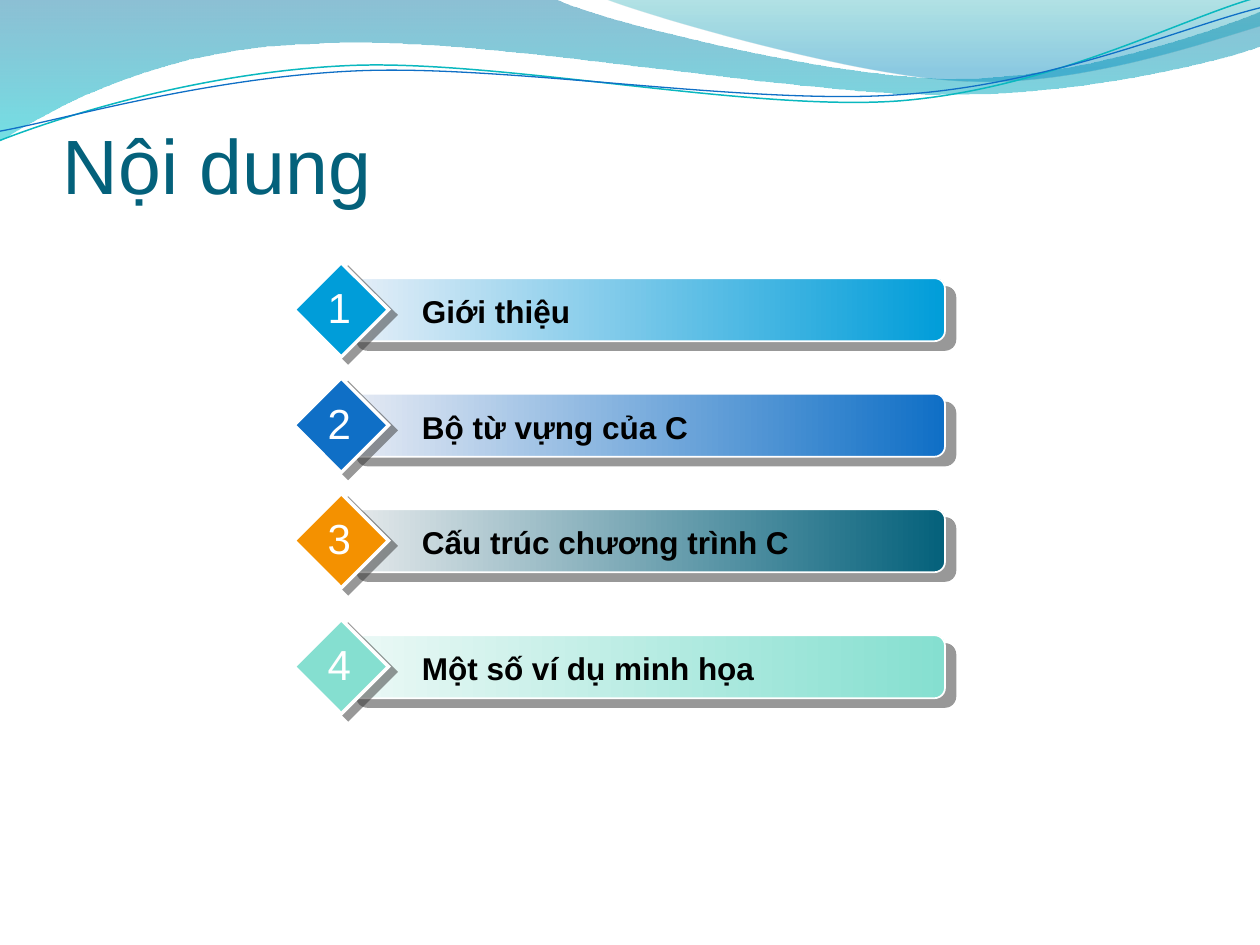
"""Build the contents slide: a wave header, a title and four numbered bars."""
import math

from lxml import etree
from pptx import Presentation
from pptx import util as u
from pptx.dml.color import RGBColor
from pptx.enum import shapes, text
from pptx.oxml import ns

SCALE = 914400 / 96
FONT = "Arial"
COLORS = {"title": "04617B", "text": "000000", "white": "FFFFFF", "shadow": "333333",
          "sky": "009DD9", "blue": "0F6FC6", "teal": "04617B", "orange": "F49100",
          "mint": "85DFD0", "aqua": "0AB8BF", "deep": "0074A1", "cyan": "00C6CF",
          "sea": "00A1A9", "azure": "008BBF"}
TITLE = "Nội dung"
ITEMS = [
    {"label": "Giới thiệu", "top": 200, "bar": "sky", "diamond": "sky"},
    {"label": "Bộ từ vựng của C", "top": 288, "bar": "blue", "diamond": "blue"},
    {"label": "Cấu trúc chương trình C", "top": 376, "bar": "teal", "diamond": "orange"},
    {"label": "Một số ví dụ minh họa", "top": 472, "bar": "mint", "diamond": "mint"},
]
WAVES = [
    {"box": (-1, -1, 962, 109),
     "stops": [(0, "deep", {"alpha": 45}), (100, "cyan", {"alpha": 55})],
     "points": [[(0, 0)], [(422, -1)], [(457, 16), (637, 60), (728, 60)],
                [(819, 60), (920, 25), (960, 9)], [(961, 35)],
                [(944, 42), (835, 73), (716, 72)], [(597, 72), (367, 27), (247, 33)],
                [(124, 35), (44, 80), (-1, 108)], [(0, 0)]]},
    {"box": (460, -1, 500, 67),
     "stops": [(0, "sea", {"alpha": 30}), (80, "azure", {"alpha": 45})],
     "points": [[(460, -1)], [(489, 11), (655, 60), (738, 62)],
                [(822, 66), (923, 31), (960, 20)], [(960, 0)], [(460, -1)]]},
]
STRANDS = [
    {"box": (-2, 21, 962, 68), "color": "aqua", "width": 0.85,
     "points": [[(0, 107)], [(46, 89), (152, 55), (266, 50)],
                [(379, 45), (569, 85), (684, 77)], [(800, 68), (900, 14), (958, -2)]]},
    {"box": (-2, 29, 963, 56), "color": "blue", "width": 0.75,
     "points": [[(0, 100)], [(45, 92), (157, 59), (272, 54)],
                [(387, 49), (573, 81), (688, 72)], [(803, 64), (903, 20), (960, 6)]]},
]
STRAND_TILT = -2.7


def px(value):
    return u.Emu(round(value * SCALE))


def rgb(name):
    return RGBColor.from_string(COLORS[name])


def element(parent, tag, **attributes):
    child = etree.SubElement(parent, ns.qn(tag))
    for key, value in attributes.items():
        child.set(key, str(value))
    return child


def local_point(point, box, tilt):
    left, top, width, height = box
    dx, dy = point[0] - left - width / 2, point[1] - top - height / 2
    cosine, sine = math.cos(math.radians(tilt)), math.sin(math.radians(tilt))
    return (px(width / 2 + dx * cosine + dy * sine),
            px(height / 2 - dx * sine + dy * cosine))


def add_curve(parent, segments, box, close, tilt=0):
    builder = parent.build_freeform(px(box[0]), px(box[1]), scale=1.0)
    builder.add_line_segments([(px(box[0] + box[2]), px(box[1] + box[3]))], close=False)
    shape = builder.convert_to_shape()
    for name, value in zip(("left", "top", "width", "height"), box):
        setattr(shape, name, px(value))
    shape.rotation = tilt
    shape.shadow.inherit = False
    outline = shape._element.spPr.find(".//" + ns.qn("a:path"))
    for child in list(outline):
        outline.remove(child)
    outline.set("w", str(px(box[2])))
    outline.set("h", str(px(box[3])))
    for index, segment in enumerate(segments):
        tag = "a:cubicBezTo" if len(segment) == 3 else "a:lnTo" if index else "a:moveTo"
        command = element(outline, tag)
        for point in segment:
            x, y = local_point(point, box, tilt)
            element(command, "a:pt", x=x, y=y)
    if close:
        element(outline, "a:close")
    return shape


def set_gradient(shape, stops, angle):
    shape.fill.gradient()
    gradient = shape._element.spPr.find(ns.qn("a:gradFill"))
    for child in list(gradient):
        gradient.remove(child)
    stop_list = element(gradient, "a:gsLst")
    for position, color, changes in stops:
        stop = element(stop_list, "a:gs", pos=position * 1000)
        value = element(stop, "a:srgbClr", val=COLORS[color])
        for name, percent in changes.items():
            element(value, "a:" + name, val=percent * 1000)
    element(gradient, "a:lin", ang=angle * 60000, scaled=0)


def set_shadow(shape, distance, angle):
    shape.shadow.inherit = False
    effects = shape._element.spPr.find(ns.qn("a:effectLst"))
    shadow = element(effects, "a:outerShdw", blurRad=0, dist=u.Pt(distance),
                     dir=angle * 60000, algn="ctr", rotWithShape=0)
    element(element(shadow, "a:srgbClr", val=COLORS["shadow"]), "a:alpha", val=50000)


def set_line(shape, color, width):
    shape.line.color.rgb = rgb(color)
    shape.line.width = u.Pt(width)


def add_plate(parent, kind, box, line_width, distance, angle):
    shape = parent.add_shape(kind, *map(px, box))
    set_line(shape, "white", line_width)
    element(shape._element.spPr.find(ns.qn("a:ln")), "a:miter", lim=800000)
    set_shadow(shape, distance, angle)
    return shape


def add_text(parent, words, box, color, size, bold=False, align=text.PP_ALIGN.LEFT, **frame_format):
    frame = parent.add_textbox(*map(px, box)).text_frame
    for name, value in {"word_wrap": True, **frame_format}.items():
        setattr(frame, name, value)
    paragraph = frame.paragraphs[0]
    paragraph.alignment = align
    run = paragraph.add_run()
    run.text = words
    for name, value in {"name": FONT, "size": u.Pt(size), "bold": bold}.items():
        setattr(run.font, name, value)
    run.font.color.rgb = rgb(color)


def add_header(slide):
    for wave in WAVES:
        shape = add_curve(slide.shapes, wave["points"], wave["box"], True)
        set_gradient(shape, wave["stops"], 90)
        shape.line.fill.background()
    group = slide.shapes.add_group_shape().shapes
    for strand in STRANDS:
        shape = add_curve(group, strand["points"], strand["box"], False, STRAND_TILT)
        shape.fill.background()
        set_line(shape, strand["color"], strand["width"])


def add_item(slide, number, item):
    group = slide.shapes.add_group_shape().shapes
    top = item["top"]
    grow = text.MSO_AUTO_SIZE.SHAPE_TO_FIT_TEXT
    bar = add_plate(group, shapes.MSO_SHAPE.ROUNDED_RECTANGLE, (264, top + 12, 456, 48), 1, 7.8, 40)
    set_gradient(bar, [(0, item["bar"], {"tint": 20}), (100, item["bar"], {})], 0)
    diamond = add_plate(group, shapes.MSO_SHAPE.DIAMOND, (224, top, 72, 72), 2, 5, 37)
    diamond.fill.solid()
    diamond.fill.fore_color.rgb = rgb(item["diamond"])
    add_text(group, item["label"], (312, top + 18, 408, 38), "text", 18, bold=True, auto_size=grow)
    add_text(group, str(number), (240, top + 10, 37, 48), "white", 24,
             align=text.PP_ALIGN.CENTER, word_wrap=False, auto_size=grow)


def main():
    presentation = Presentation()
    presentation.slide_width, presentation.slide_height = px(960), px(720)
    slide = presentation.slides.add_slide(presentation.slide_layouts[6])
    add_header(slide)
    add_text(slide.shapes, TITLE, (48, 40, 864, 120), "title", 44,
             vertical_anchor=text.MSO_ANCHOR.BOTTOM,
             margin_left=0, margin_right=0, margin_bottom=0)
    for number, item in enumerate(ITEMS, 1):
        add_item(slide, number, item)
    presentation.save("out.pptx")


if __name__ == "__main__":
    main()
